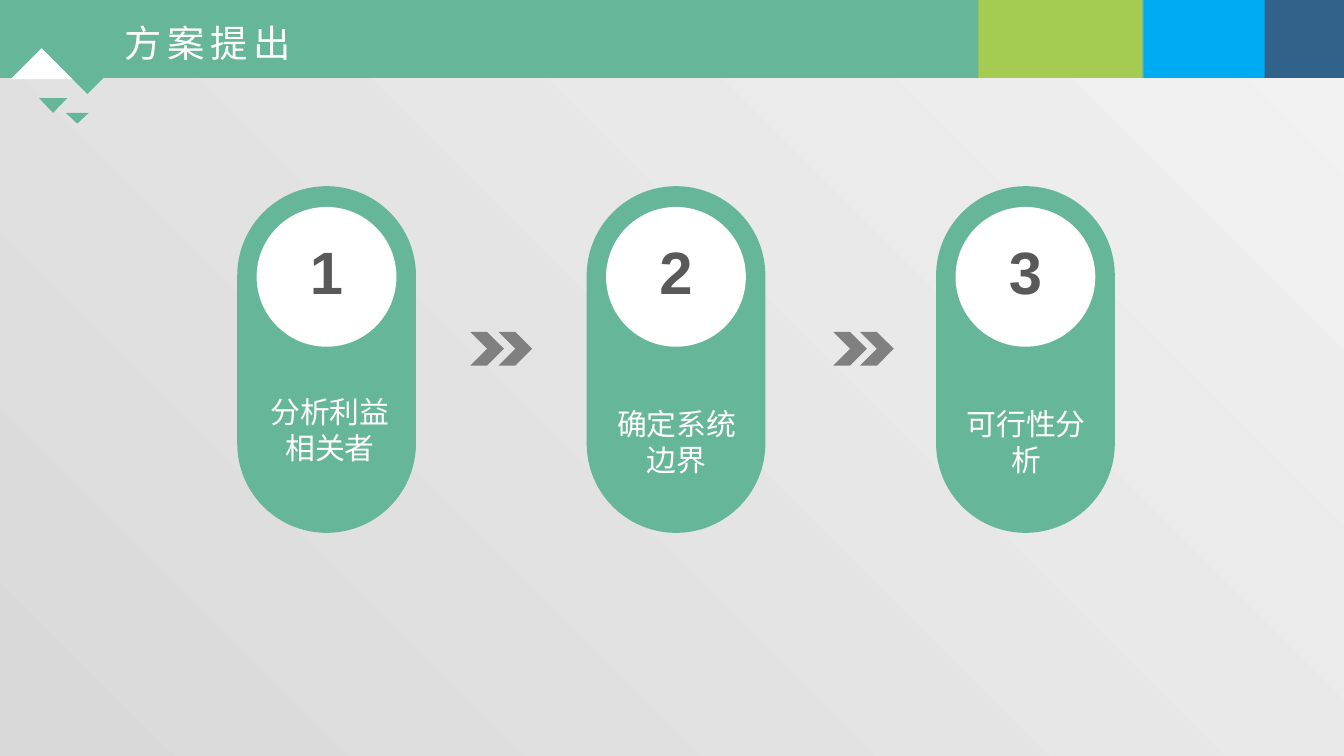
from dataclasses import dataclass

from lxml.etree import SubElement
from pptx import Presentation
from pptx.dml.color import RGBColor
from pptx.enum.shapes import MSO_SHAPE
from pptx.enum.text import MSO_AUTO_SIZE, PP_ALIGN
from pptx.oxml.ns import qn
from pptx.util import Inches, Pt

COLORS = {
    "green": "66B699", "lime": "A5CB52", "sky": "00ACF1", "navy": "31628A",
    "white": "FFFFFF", "digit": "595959", "arrow": "808080",
    "shade": "D9D9D9", "light": "F2F2F2",
}
HAN_FONT = "Noto Sans CJK SC"
STEP_LEFT, STEP_PITCH = 1.14, 2.6


@dataclass
class Band:
    left: float
    width: float
    color: str


@dataclass
class Triangle:
    left: float
    right: float
    base: float
    tip: float
    color: str


@dataclass
class Step:
    label: str
    label_left: float
    label_top: float


@dataclass
class TextStyle:
    size: float
    color: str
    font: str = HAN_FONT
    bold: bool = False
    spacing: float = 0
    line_spacing: float = 1.0
    align: PP_ALIGN = PP_ALIGN.CENTER
    inset: bool = True


BANDS = [Band(0, 8.84, "green"), Band(9.38, 0.62, "navy"),
         Band(8.51, 0.9, "sky"), Band(7.28, 1.22, "lime")]
TRIANGLES = [Triangle(0.48, 0.82, 0.53, 0.7, "green"),
             Triangle(0.49, 0.66, 0.84, 0.92, "green"),
             Triangle(0.08, 0.54, 0.59, 0.36, "white"),
             Triangle(0.29, 0.5, 0.73, 0.84, "green")]
STEPS = [Step("分析利益相关者", 1.86, 2.88),
         Step("确定系统边界", 4.44, 2.97),
         Step("可行性分析", 7.04, 2.97)]
CHEVRON_LEFTS = [3.5, 3.71, 6.2, 6.4]
NUMBER = TextStyle(32, "digit", "Arial", True, 0.5, 1.5, inset=False)
LABEL = TextStyle(16, "white")
TITLE = TextStyle(20, "white", spacing=3, align=PP_ALIGN.LEFT)


def rgb(color: str) -> RGBColor:
    return RGBColor.from_string(COLORS[color])


def paint(shape, color: str) -> None:
    shape.shadow.inherit = False
    shape.fill.solid()
    shape.fill.fore_color.rgb = rgb(color)
    shape.line.fill.background()


def add_block(page, kind: MSO_SHAPE, left: float, top: float,
              width: float, height: float, color: str):
    block = page.shapes.add_shape(kind, Inches(left), Inches(top), Inches(width), Inches(height))
    paint(block, color)
    return block


def add_triangle(page, triangle: Triangle) -> None:
    left, right = Inches(triangle.left), Inches(triangle.right)
    base, tip = Inches(triangle.base), Inches(triangle.tip)
    builder = page.shapes.build_freeform(left, base)
    builder.add_line_segments([(right, base), ((left + right) // 2, tip)], close=True)
    paint(builder.convert_to_shape(), triangle.color)


def add_text(page, text: str, left: float, top: float,
             width: float, height: float, style: TextStyle) -> None:
    box = page.shapes.add_textbox(Inches(left), Inches(top), Inches(width), Inches(height))
    frame = box.text_frame
    frame.word_wrap = True
    frame.auto_size = MSO_AUTO_SIZE.SHAPE_TO_FIT_TEXT
    if not style.inset:
        frame.margin_left = frame.margin_right = frame.margin_top = frame.margin_bottom = 0
    paragraph = frame.paragraphs[0]
    paragraph.text = text
    paragraph.alignment = style.align
    paragraph.line_spacing = style.line_spacing
    font = paragraph.font
    font.size = Pt(style.size)
    font.bold = style.bold
    font.color.rgb = rgb(style.color)
    font.name = style.font
    properties = paragraph._p.pPr.find(qn("a:defRPr"))
    properties.set("spc", str(int(style.spacing * 100)))
    SubElement(properties, qn("a:ea")).set("typeface", style.font)


def add_step(page, index: int, step: Step) -> None:
    left = STEP_LEFT + index * STEP_PITCH
    pill = add_block(page, MSO_SHAPE.ROUNDED_RECTANGLE, left, 2.01, 2.58, 1.33, "green")
    pill.adjustments[0] = 0.5
    pill.rotation = 90
    add_block(page, MSO_SHAPE.OVAL, left + 0.77, 1.54, 1.04, 1.04, "white")
    add_text(page, str(index + 1), left + 0.72, 1.48, 1.14, 0.81, NUMBER)
    add_text(page, step.label, step.label_left, step.label_top, 1.19, 0.64, LABEL)


def set_background(page) -> None:
    fill = page.background.fill
    fill.gradient()
    fill.gradient_angle = 45
    for stop, color in zip(fill.gradient_stops, ("shade", "light")):
        stop.color.rgb = rgb(color)


def main() -> None:
    deck = Presentation()
    deck.slide_width = Inches(10)
    deck.slide_height = deck.slide_width * 9 // 16
    page = deck.slides.add_slide(deck.slide_layouts[6])
    set_background(page)
    for band in BANDS:
        add_block(page, MSO_SHAPE.RECTANGLE, band.left, 0, band.width, 0.58, band.color)
    for triangle in TRIANGLES:
        add_triangle(page, triangle)
    for index, step in enumerate(STEPS):
        add_step(page, index, step)
    for left in CHEVRON_LEFTS:
        add_block(page, MSO_SHAPE.CHEVRON, left, 2.47, 0.25, 0.25, "arrow")
    add_text(page, "方案提出", 0.83, 0.1, 1.73, 0.44, TITLE)
    deck.save("out.pptx")


if __name__ == "__main__":
    main()
